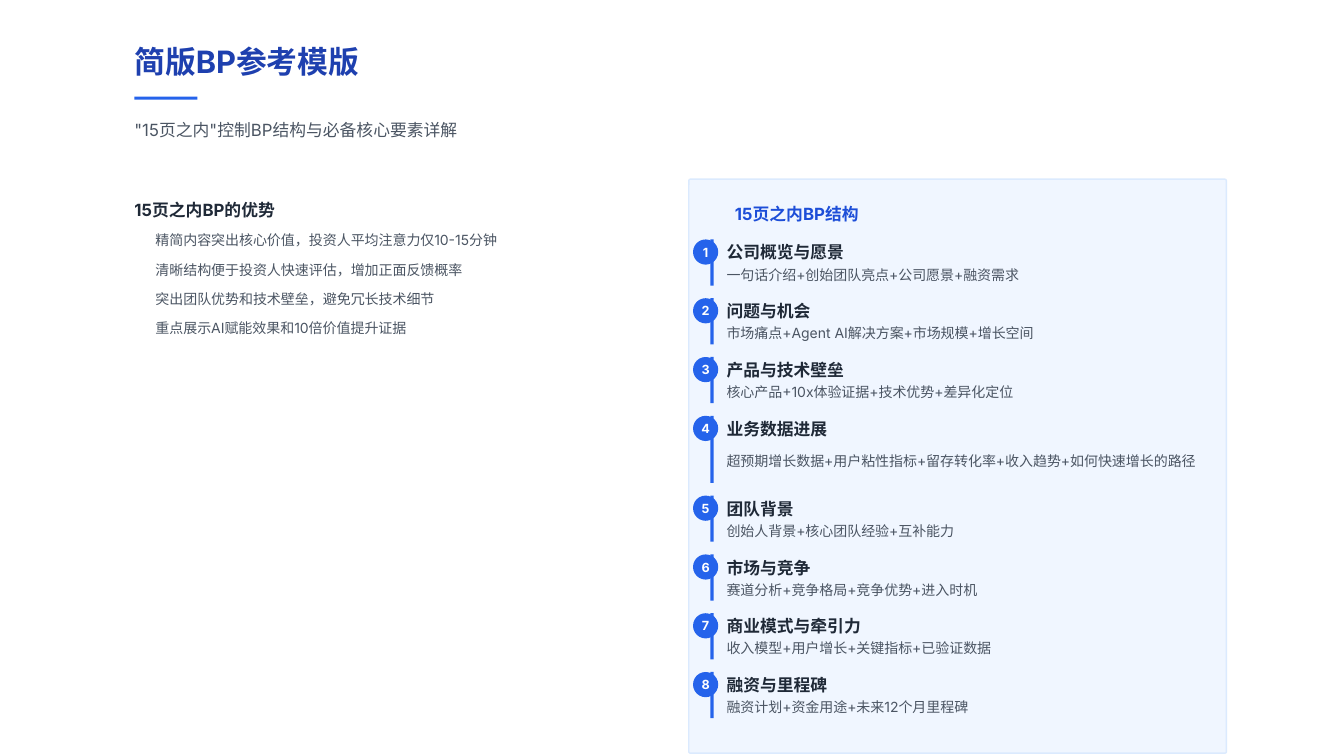
"""Build the short business-plan template slide."""
from pptx import Presentation
from pptx.dml.color import RGBColor
from pptx.enum.shapes import MSO_SHAPE as Shape
from pptx.enum.text import MSO_ANCHOR as Anchor, PP_ALIGN as Align
from pptx.oxml.ns import qn
from pptx.util import Pt
from lxml import etree

TITLE = "简版BP参考模版"
SUBTITLE = "\"15页之内\"控制BP结构与必备核心要素详解"
BENEFITS_TITLE = "15页之内BP的优势"
BENEFITS = [
    "精简内容突出核心价值，投资人平均注意力仅10-15分钟",
    "清晰结构便于投资人快速评估，增加正面反馈概率",
    "突出团队优势和技术壁垒，避免冗长技术细节",
    "重点展示AI赋能效果和10倍价值提升证据",
]
STRUCTURE_TITLE = "15页之内BP结构"
SECTIONS = [
    ("公司概览与愿景", "一句话介绍+创始团队亮点+公司愿景+融资需求", 1),
    ("问题与机会", "市场痛点+Agent AI解决方案+市场规模+增长空间", 1),
    ("产品与技术壁垒", "核心产品+10x体验证据+技术优势+差异化定位", 1),
    ("业务数据进展", "超预期增长数据+用户粘性指标+留存转化率+收入趋势+如何快速增长的路径", 2),
    ("团队背景", "创始人背景+核心团队经验+互补能力", 1),
    ("市场与竞争", "赛道分析+竞争格局+竞争优势+进入时机", 1),
    ("商业模式与牵引力", "收入模型+用户增长+关键指标+已验证数据", 1),
    ("融资与里程碑", "融资计划+资金用途+未来12个月里程碑", 1),
]

THEME = {
    "font": "Inter",
    "accent": "2563EB",
    "panel": "EFF6FF",
    "border": "DBEAFE",
    "title": {"size": 22, "color": "1E40AF", "bold": True},
    "subtitle": {"size": 12, "color": "4B5563", "bold": False},
    "heading": {"size": 12, "color": "1F2937", "bold": True},
    "panel_title": {"size": 12, "color": "1D4ED8", "bold": True},
    "body": {"size": 10, "color": "4B5563", "bold": False},
    "number": {"size": 9, "color": "FFFFFF", "bold": True},
}
LEFT, TEXT_LEFT, TEXT_W = 96, 519, 341
LINE_H, ROW_H, ROW_GAP = 15, 33, 9


def write(tf, text, style, align=Align.LEFT):
    frame = {"word_wrap": True, "vertical_anchor": Anchor.MIDDLE, "margin_left": 0,
             "margin_right": 0, "margin_top": 0, "margin_bottom": 0}
    for name, value in frame.items():
        setattr(tf, name, value)
    p = tf.paragraphs[0]
    p.alignment = align
    r = p.add_run()
    r.text = text
    look = THEME[style]
    font = {"name": THEME["font"], "size": Pt(look["size"]), "bold": look["bold"]}
    for name, value in font.items():
        setattr(r.font, name, value)
    r.font.color.rgb = RGBColor.from_string(look["color"])


def add_text(slide, text, style, *box):
    write(slide.shapes.add_textbox(*map(Pt, box)).text_frame, text, style)


def add_block(slide, kind, fill, *box):
    sp = slide.shapes.add_shape(kind, *map(Pt, box))
    sp.shadow.inherit = False
    sp.fill.solid()
    sp.fill.fore_color.rgb = RGBColor.from_string(fill)
    sp.line.fill.background()
    return sp


def add_panel(slide):
    sp = add_block(slide, Shape.ROUNDED_RECTANGLE, THEME["panel"], 492, 128, 384, 410)
    sp.adjustments[0] = 0.003
    sp.line.color.rgb = RGBColor.from_string(THEME["border"])
    sp.line.width = Pt(1)
    color = sp.fill._xPr.find(qn("a:solidFill"))[0]
    etree.SubElement(color, qn("a:alpha"), val="90000")
    add_text(slide, STRUCTURE_TITLE, "panel_title", 525, 145.5, TEXT_W, LINE_H)


def add_sections(slide):
    top = 171
    for number, (heading, detail, lines) in enumerate(SECTIONS, 1):
        extra = LINE_H * (lines - 1)
        add_block(slide, Shape.RECTANGLE, THEME["accent"], 507.5, top, 2.25, ROW_H + extra)
        sp = add_block(slide, Shape.OVAL, THEME["accent"], 495, top, 18, 18)
        write(sp.text_frame, str(number), "number", Align.CENTER)
        add_text(slide, heading, "heading", TEXT_LEFT, top + 1.7, TEXT_W, LINE_H)
        add_text(slide, detail, "body", TEXT_LEFT, top + 18.5, TEXT_W, 13 + extra)
        top += ROW_H + extra + ROW_GAP


def main():
    prs = Presentation()
    prs.slide_width, prs.slide_height = Pt(960), Pt(540)
    slide = prs.slides.add_slide(prs.slide_layouts[6])
    add_text(slide, TITLE, "title", LEFT, 30, 240, 27)
    add_block(slide, Shape.RECTANGLE, THEME["accent"], LEFT, 69, 45, 2.25)
    add_text(slide, SUBTITLE, "subtitle", LEFT, 85, 240, LINE_H)
    add_text(slide, BENEFITS_TITLE, "heading", LEFT, 142, 240, LINE_H)
    for i, benefit in enumerate(BENEFITS):
        add_text(slide, benefit, "body", LEFT + LINE_H, 165 + 21 * i, 300, 13)
    add_panel(slide)
    add_sections(slide)
    prs.save("out.pptx")


if __name__ == "__main__":
    main()
